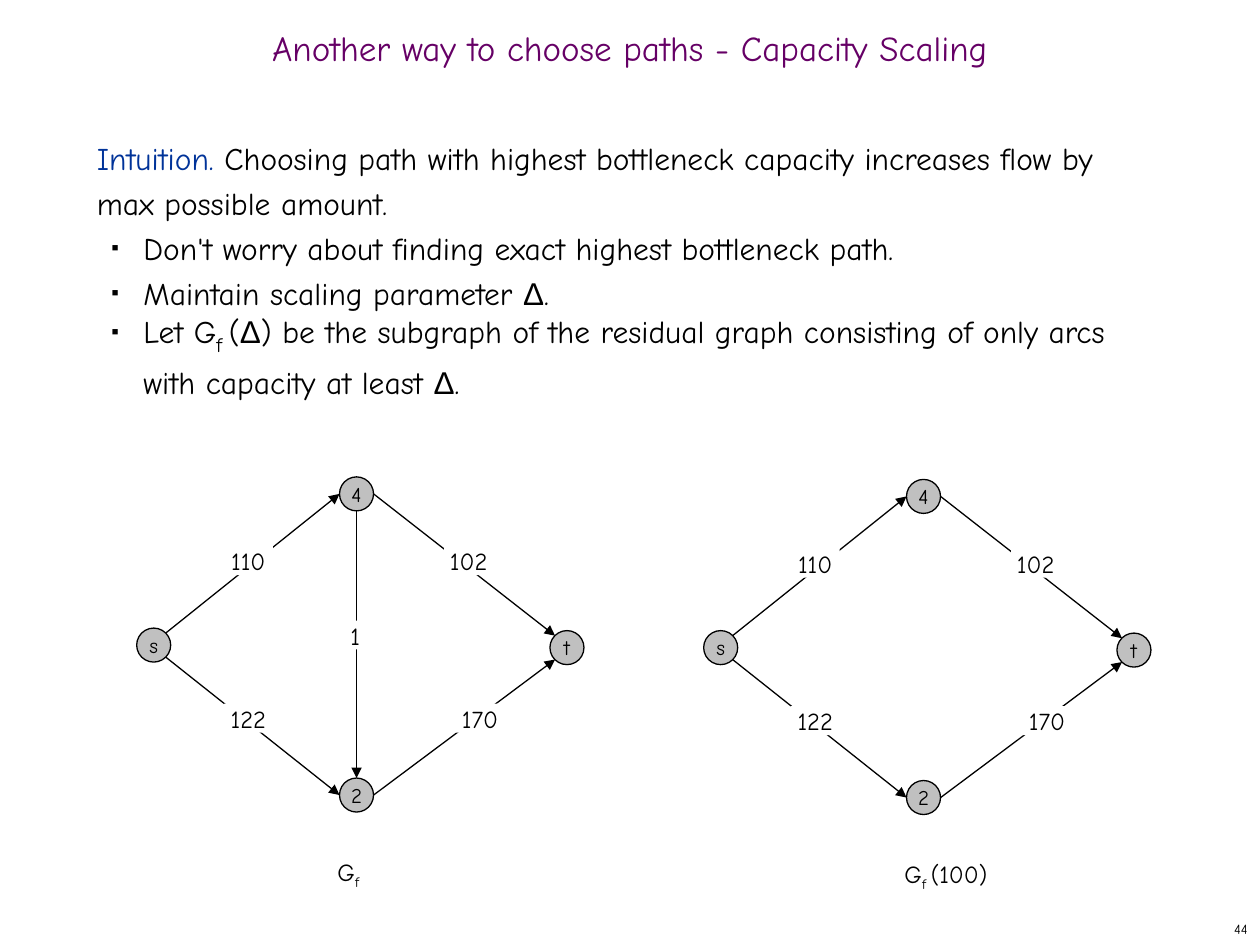
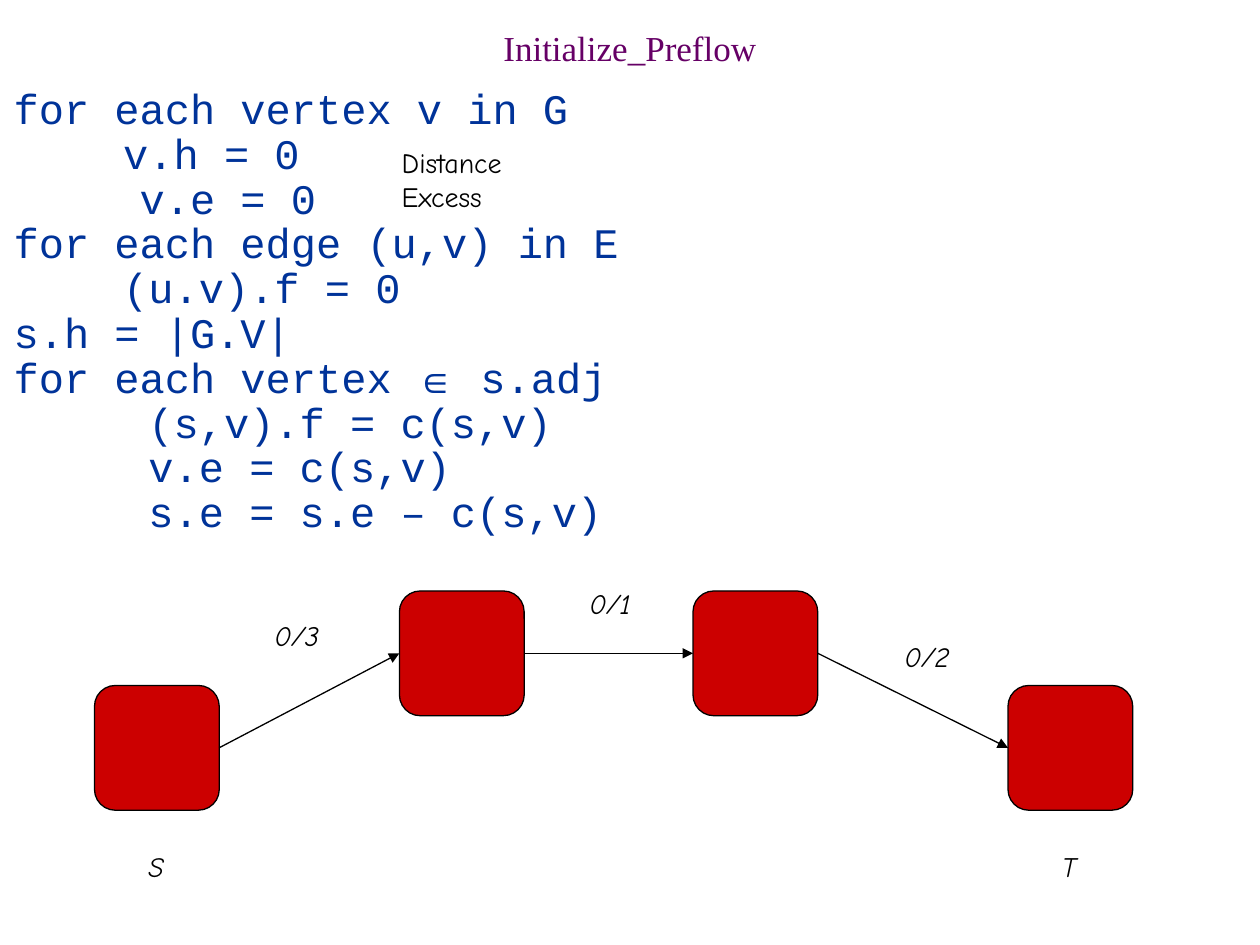
from dataclasses import dataclass, field
from typing import NamedTuple

from lxml.etree import SubElement
from pptx import Presentation
from pptx.dml.color import RGBColor
from pptx.enum.shapes import MSO_CONNECTOR as CONN, MSO_SHAPE as SHAPE
from pptx.enum.text import MSO_ANCHOR as ANCHOR, PP_ALIGN as ALIGN
from pptx.oxml.ns import qn
from pptx.util import Inches, Pt

# Shared look
COLORS = {"title": "660066", "accent": "003399", "ink": "000000",
          "node": "C0C0C0", "box": "CC0000", "paper": "FFFFFF"}
HAND, CODE, SANS, SERIF = "Comic Neue", "Courier New", "Arial", "Times New Roman"
LINE_PT = 0.75
FIXED_LINES = {"line_spacing": Pt(25.6)}
CENTER = {"alignment": ALIGN.CENTER}
NO_INSETS = {f"margin_{side}": 0 for side in ("left", "top", "right", "bottom")}


class Run(NamedTuple):
    text: str
    size: float = 18
    font: str = HAND
    color: str = "ink"
    italic: bool = False
    sub: bool = False


@dataclass
class Para:
    runs: list[Run]
    fmt: dict = field(default_factory=dict)
    left: float = 0
    indent: float = 0
    bullet: str = ""


class Node(NamedTuple):
    text: str
    x: float
    y: float


class Edge(NamedTuple):
    start: str
    start_side: str
    end: str
    end_side: str
    label: str
    x: float
    y: float
    width: float = 0.39


class Label(NamedTuple):
    text: str
    x: float
    y: float
    width: float = 0.58


def rgb(name: str) -> RGBColor:
    return RGBColor.from_string(COLORS[name])


def apply(target, values: dict) -> None:
    for name, value in values.items():
        setattr(target, name, value)


# Text helpers
def add_bullet(p, char: str) -> None:
    ppr = p._p.get_or_add_pPr()
    color = SubElement(ppr, qn("a:buClr"))
    SubElement(color, qn("a:srgbClr")).set("val", COLORS["ink"])
    SubElement(ppr, qn("a:buSzPct")).set("val", "35000")
    SubElement(ppr, qn("a:buFont")).set("typeface", SANS)
    SubElement(ppr, qn("a:buChar")).set("char", char)


def write(tf, paras: list[Para], **frame) -> None:
    apply(tf, {"word_wrap": True, **frame})
    for i, para in enumerate(paras):
        p = tf.add_paragraph() if i else tf.paragraphs[0]
        if para.bullet:
            add_bullet(p, para.bullet)
        apply(p, para.fmt)
        ppr = p._p.get_or_add_pPr()
        ppr.set("marL", str(Inches(para.left)))
        ppr.set("indent", str(Inches(para.indent)))
        for run in para.runs:
            r = p.add_run()
            r.text = run.text
            apply(r.font, {"size": Pt(run.size), "name": run.font, "italic": run.italic})
            r.font.color.rgb = rgb(run.color)
            if run.sub:
                r._r.get_or_add_rPr().set("baseline", "-25000")


def add_text(slide, x: float, y: float, w: float, h: float, paras: list[Para], **frame) -> None:
    sp = slide.shapes.add_textbox(Inches(x), Inches(y), Inches(w), Inches(h))
    write(sp.text_frame, paras, **frame)


def add_title(slide, text: str, font: str = HAND) -> None:
    para = Para([Run(text, 20, font, "title")], {"line_spacing": 0.7, **CENTER})
    add_text(slide, 0, 0.17, 10, 0.5, [para], vertical_anchor=ANCHOR.MIDDLE)


# Drawing helpers
def add_box(slide, kind, x: float, y: float, w: float, h: float, fill: str, outlined: bool = True):
    sp = slide.shapes.add_shape(kind, Inches(x), Inches(y), Inches(w), Inches(h))
    sp.shadow.inherit = False
    sp.fill.solid()
    sp.fill.fore_color.rgb = rgb(fill)
    if outlined:
        sp.line.color.rgb = rgb("ink")
        sp.line.width = Pt(LINE_PT)
    else:
        sp.line.fill.background()
    return sp


def add_arrow(slide, x1: float = 0, y1: float = 0, x2: float = 0, y2: float = 0):
    line = slide.shapes.add_connector(CONN.STRAIGHT, Inches(x1), Inches(y1), Inches(x2), Inches(y2))
    line.line.color.rgb = rgb("ink")
    line.line.width = Pt(LINE_PT)
    SubElement(line.line._get_or_add_ln(), qn("a:tailEnd")).set("type", "triangle")
    SubElement(line._element.spPr, qn("a:effectLst"))
    return line


# Residual graphs
NODE_SIZE = 0.27
LABEL_H = 0.23
SIDES = {"top": (0, -1), "bottom": (0, 1), "left": (-1, 0), "right": (1, 0),
         "top right": (0.7, -0.7), "bottom right": (0.7, 0.7),
         "top left": (-0.7, -0.7), "bottom left": (-0.7, 0.7)}
NODES = [Node("s", 1.22, 5.12), Node("4", 2.83, 3.92),
         Node("2", 2.83, 6.31), Node("t", 4.5, 5.14)]
WEAK_EDGE = Edge("4", "bottom", "2", "top", "1", 2.82, 5.04, 0.31)
STRONG_EDGES = [
    Edge("s", "top right", "4", "left", "110", 1.97, 4.45),
    Edge("s", "bottom right", "2", "left", "122", 1.97, 5.7),
    Edge("4", "right", "t", "top left", "102", 3.72, 4.45),
    Edge("2", "right", "t", "bottom left", "170", 3.81, 5.7),
]


def draw_graph(slide, dx: float, dy: float, edges: list[Edge], caption: list[Run]) -> None:
    centers = {n.text: (n.x + dx, n.y + dy) for n in NODES}

    def site(name: str, side: str) -> list[float]:
        return [c + NODE_SIZE / 2 * u for c, u in zip(centers[name], SIDES[side])]

    for e in edges:
        add_arrow(slide, *site(e.start, e.start_side), *site(e.end, e.end_side))
    for name, (x, y) in centers.items():
        sp = add_box(slide, SHAPE.OVAL, x - NODE_SIZE / 2, y - NODE_SIZE / 2,
                     NODE_SIZE, NODE_SIZE, "node")
        write(sp.text_frame, [Para([Run(name, 12)], CENTER)],
              word_wrap=False, vertical_anchor=ANCHOR.MIDDLE)
    for e in edges:
        sp = add_box(slide, SHAPE.RECTANGLE, e.x + dx - e.width / 2, e.y + dy - LABEL_H / 2,
                     e.width, LABEL_H, "paper", outlined=False)
        write(sp.text_frame, [Para([Run(e.label, 14)], CENTER)],
              vertical_anchor=ANCHOR.TOP, **NO_INSETS)
    add_text(slide, 2.58 + dx, 6.75 + dy, 1.25, 0.36, [Para(caption)])


def build_scaling(slide) -> None:
    add_text(slide, 7.92, 7.25, 2.08, 0.25, [Para([Run("44", 8)], {"alignment": ALIGN.RIGHT})],
             vertical_anchor=ANCHOR.MIDDLE)
    add_title(slide, "Another way to choose paths - Capacity Scaling")

    # Intuition and its bullets
    delta = Run("Δ", font=SANS)
    bullets = [
        [Run("Don't worry about finding exact highest bottleneck path.")],
        [Run("Maintain scaling parameter "), delta, Run(".")],
        [Run("Let G"), Run("f ", 20, sub=True), Run("("), delta,
         Run(") be the subgraph of the residual graph consisting of only arcs "
             "with capacity at least "), delta, Run(".")],
    ]
    intro = [Run("Intuition. ", color="accent"),
             Run("Choosing path with highest bottleneck capacity increases flow by "
                 "max possible amount.")]
    add_text(slide, 0.67, 1, 8.5, 2.5,
             [Para(intro, FIXED_LINES)]
             + [Para(runs, FIXED_LINES, 0.37, -0.25, "■") for runs in bullets])

    # Full graph and the one limited to capacity 100
    draw_graph(slide, 0, 0, STRONG_EDGES + [WEAK_EDGE], [Run("G", 14), Run("f", 14, sub=True)])
    draw_graph(slide, 4.5, 0.02, STRONG_EDGES,
               [Run("G", 14), Run("f ", 14, sub=True), Run("(100)", 14)])


# Preflow code and chain
BOX_SIZE = 0.99
BOXES = [(0.75, 5.44), (3.17, 4.69), (5.5, 4.69), (8, 5.44)]
LEFT, RIGHT = 1, 3
CODE_LINES = [
    (0, "for each vertex v in G"),
    (1, "v.h = 0"),
    (0, "     v.e = 0"),
    (0, "for each edge (u,v) in E"),
    (1, "(u.v).f = 0"),
    (0, "s.h = |G.V|"),
    (0, "for each vertex ∈ s.adj"),
    (1, " (s,v).f = c(s,v)"),
    (1, " v.e = c(s,v)"),
    (1, " s.e = s.e – c(s,v)"),
]
CHAIN_LABELS = [Label("0/3", 2.08, 4.86), Label("0/1", 4.58, 4.61), Label("0/2", 7.08, 5.03),
                Label("S", 1.08, 6.69, 0.35), Label("T", 8.33, 6.69, 0.35)]


def code_para(level: int, text: str) -> Para:
    before, member, after = text.partition("∈")
    runs = [Run(before, 24, CODE, "accent")]
    if member:
        runs += [Run(member, 22, SANS, "accent"), Run(after, 24, CODE, "accent")]
    left, indent = (0.88, 0) if level else (0.38, -0.37)
    return Para(runs, FIXED_LINES, left, indent)


def build_preflow(slide) -> None:
    add_title(slide, "Initialize_Preflow", SERIF)
    add_text(slide, 0, 0.65, 5.2, 3.81, [code_para(*line) for line in CODE_LINES])
    add_text(slide, 3.09, 1.11, 1.1, 0.64,
             [Para([Run(word, 16)]) for word in ("Distance", "Excess")], word_wrap=False)

    # Boxes joined in order
    boxes = [add_box(slide, SHAPE.ROUNDED_RECTANGLE, x, y, BOX_SIZE, BOX_SIZE, "box")
             for x, y in BOXES]
    for start, end in zip(boxes, boxes[1:]):
        line = add_arrow(slide)
        line.begin_connect(start, RIGHT)
        line.end_connect(end, LEFT)
    for label in CHAIN_LABELS:
        add_text(slide, label.x, label.y, label.width, 0.37,
                 [Para([Run(label.text, 16, italic=True)])], word_wrap=False)


def main() -> None:
    prs = Presentation()
    prs.slide_width, prs.slide_height = Inches(10), Inches(7.5)
    for build in (build_scaling, build_preflow):
        build(prs.slides.add_slide(prs.slide_layouts[6]))
    prs.save("out.pptx")


if __name__ == "__main__":
    main()
